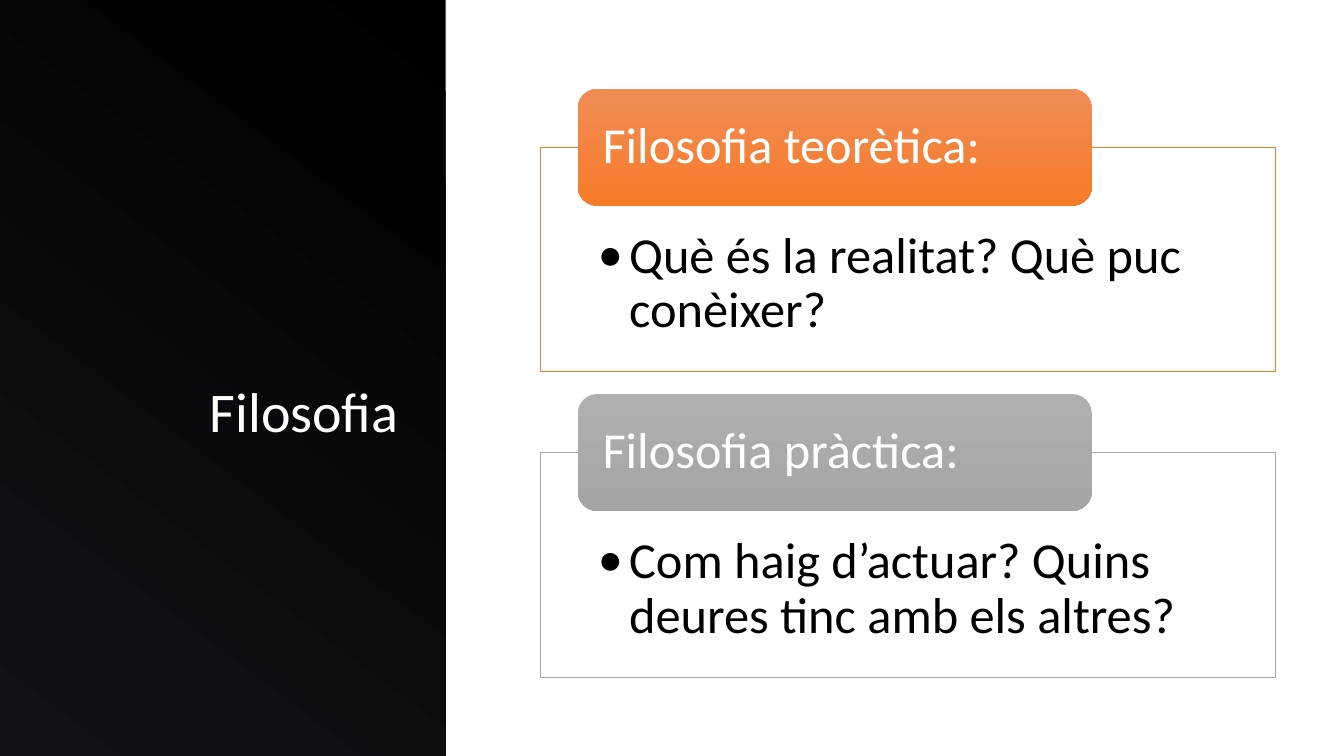
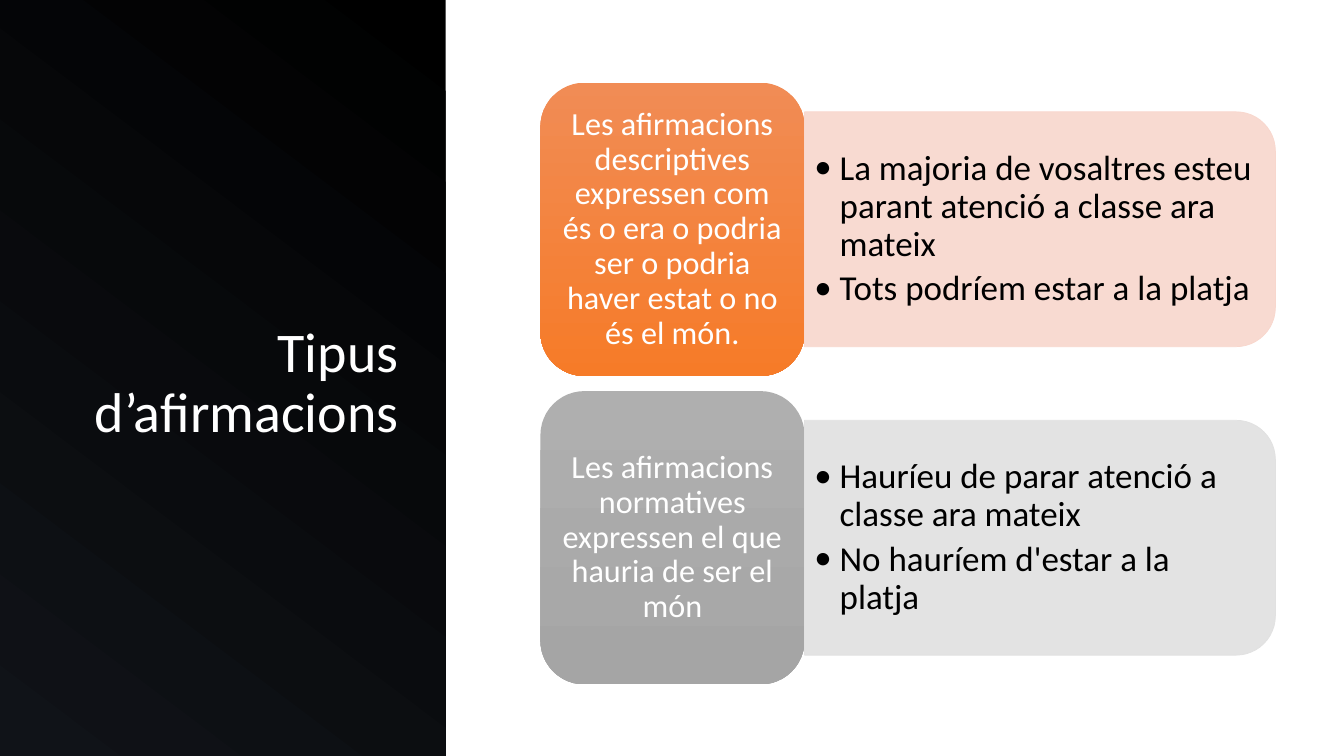
from math import cos, pi, sin

from pptx import Presentation
from pptx.dml.color import RGBColor
from pptx.enum.shapes import MSO_SHAPE as Shape
from pptx.enum.text import MSO_ANCHOR as Anchor, PP_ALIGN as Align
from pptx.oxml.ns import qn
from pptx.util import Inches, Pt

FONT = "Calibri"
BLACK, WHITE = "000000", "FFFFFF"
ORANGE, GRAY = "ED7D31", "A5A5A5"
GRADS = {ORANGE: ("F18C55", "F67B28"), GRAY: ("AFAFAF", "A5A5A5")}
TINTS = {ORANGE: "F8D7CD", GRAY: "E1E1E1"}
BAND = 4.42
LEFT, RIGHT = 5.36, 12.65


def color(code):
    return RGBColor.from_string(code)


def blend(shape, stops, angle):
    """Fill with a two-colour gradient; the angle runs counter-clockwise."""
    shape.fill.gradient()
    shape.fill.gradient_angle = angle
    for place, (stop, code) in enumerate(zip(shape.fill.gradient_stops, stops)):
        stop.position = place
        stop.color.rgb = color(code)


def paint(shape, fill, line, alpha=90):
    """Fill with a partly transparent colour inside a thin outline."""
    shape.shadow.inherit = False
    shape.fill.solid()
    shape.fill.fore_color.rgb = color(fill)
    code = shape.fill._xPr.find(qn("a:solidFill"))[0]
    code.append(code.makeelement(qn("a:alpha"), {"val": str(alpha * 1000)}))
    shape.line.color.rgb = color(line)
    shape.line.width = Pt(0.5)


def block(slide, kind, box, stops, angle=270):
    shape = slide.shapes.add_shape(kind, *map(Inches, box))
    shape.shadow.inherit = False
    shape.line.fill.background()
    blend(shape, stops, angle)
    return shape


def write(shape, *lines, size, ink=BLACK, align=Align.LEFT, anchor=Anchor.MIDDLE,
          inset=(0.1, 0.05, 0.1, 0.05), after=0, bullet=0):
    """Set the text; bullet is the hanging indent in inches, 0 for none."""
    frame = shape.text_frame
    frame.word_wrap = True
    frame.vertical_anchor = anchor
    (frame.margin_left, frame.margin_top,
     frame.margin_right, frame.margin_bottom) = map(Inches, inset)
    for num, line in enumerate(lines):
        para = frame.add_paragraph() if num else frame.paragraphs[0]
        if bullet:
            props = para._p.get_or_add_pPr()
            props.set("marL", str(Inches(bullet)))
            props.set("indent", str(-Inches(bullet)))
            props.append(props.makeelement(qn("a:buFont"), {"typeface": FONT}))
            props.append(props.makeelement(qn("a:buChar"), {"char": "•"}))
        para.alignment = align
        para.line_spacing = 0.9
        para.space_after = Pt(after)
        para.font.size = Pt(size)
        run = para.add_run()
        run.text = line
        run.font.name = FONT
        run.font.size = Pt(size)
        run.font.color.rgb = color(ink)


def start(deck, title):
    """Add a slide with the dark band and its title."""
    slide = deck.slides.add_slide(deck.slide_layouts[6])
    block(slide, Shape.RECTANGLE, (0, 0, BAND, 7.5), (BLACK, "101318"), 233)
    box = slide.shapes.add_textbox(*map(Inches, (0.64, 1.84, 3.41, 2.62)))
    write(box, title, size=40, ink=WHITE, align=Align.RIGHT, anchor=Anchor.BOTTOM)
    return slide


def topic(slide, top, hue, head, text):
    """Outlined box with a heading tab across its top edge."""
    box = slide.shapes.add_shape(
        Shape.RECTANGLE, *map(Inches, (LEFT, top + 0.58, RIGHT - LEFT, 2.23)))
    paint(box, WHITE, hue)
    write(box, text, size=36, anchor=Anchor.TOP, after=6, bullet=0.31,
          inset=(0.57, 0.82, 0.57, 0.28))
    tab = block(slide, Shape.ROUNDED_RECTANGLE, (LEFT + 0.37, top, 5.1, 1.16), GRADS[hue])
    write(tab, head, size=36, ink=WHITE, after=15, inset=(0.19, 0, 0.19, 0))


def panel(slide, left, top, high, curve=0.39, steps=12):
    """Rectangle with only its right corners rounded."""
    def arc(y, first):
        angles = [first + pi / 2 * i / steps for i in range(steps + 1)]
        return [(RIGHT - curve + curve * cos(a), y + curve * sin(a)) for a in angles]

    dots = arc(top + curve, -pi / 2) + arc(top + high - curve, 0)
    dots.append((left, top + high))
    form = slide.shapes.build_freeform(Inches(left), Inches(top))
    form.add_line_segments([(Inches(x), Inches(y)) for x, y in dots], close=True)
    return form.convert_to_shape()


def claim(slide, top, hue, head, points):
    """Rounded card with a panel of examples at its right."""
    wide = 2.62
    side = panel(slide, LEFT + wide, top + 0.29, 2.33)
    paint(side, TINTS[hue], TINTS[hue])
    write(side, *points, size=25, after=5, bullet=0.25, inset=(0.1, 0.17, 0.2, 0.17))
    card = block(slide, Shape.ROUNDED_RECTANGLE, (LEFT, top, wide, 2.91), GRADS[hue])
    write(card, head, size=23, ink=WHITE, align=Align.CENTER, after=10,
          inset=(0.08, 0.05, 0.08, 0.05))


def main():
    deck = Presentation()
    deck.slide_width, deck.slide_height = Inches(13.33), Inches(7.5)

    slide = start(deck, "Filosofia")
    topics = [
        (ORANGE, "Filosofia teorètica:", "Què és la realitat? Què puc conèixer?"),
        (GRAY, "Filosofia pràctica:",
         "Com haig d’actuar? Quins deures tinc amb els altres?"),
    ]
    for row, item in enumerate(topics):
        topic(slide, 0.88 + 3.03 * row, *item)

    slide = start(deck, "Tipus d’afirmacions")
    claims = [
        (ORANGE, "Les afirmacions descriptives expressen com és o era o podria ser "
                 "o podria haver estat o no és el món.",
         ["La majoria de vosaltres esteu parant atenció a classe ara mateix",
          "Tots podríem estar a la platja"]),
        (GRAY, "Les afirmacions normatives expressen el que hauria de ser el món",
         ["Hauríeu de parar atenció a classe ara mateix",
          "No hauríem d'estar a la platja"]),
    ]
    for row, item in enumerate(claims):
        claim(slide, 0.82 + 3.06 * row, *item)

    deck.save("out.pptx")


if __name__ == "__main__":
    main()
